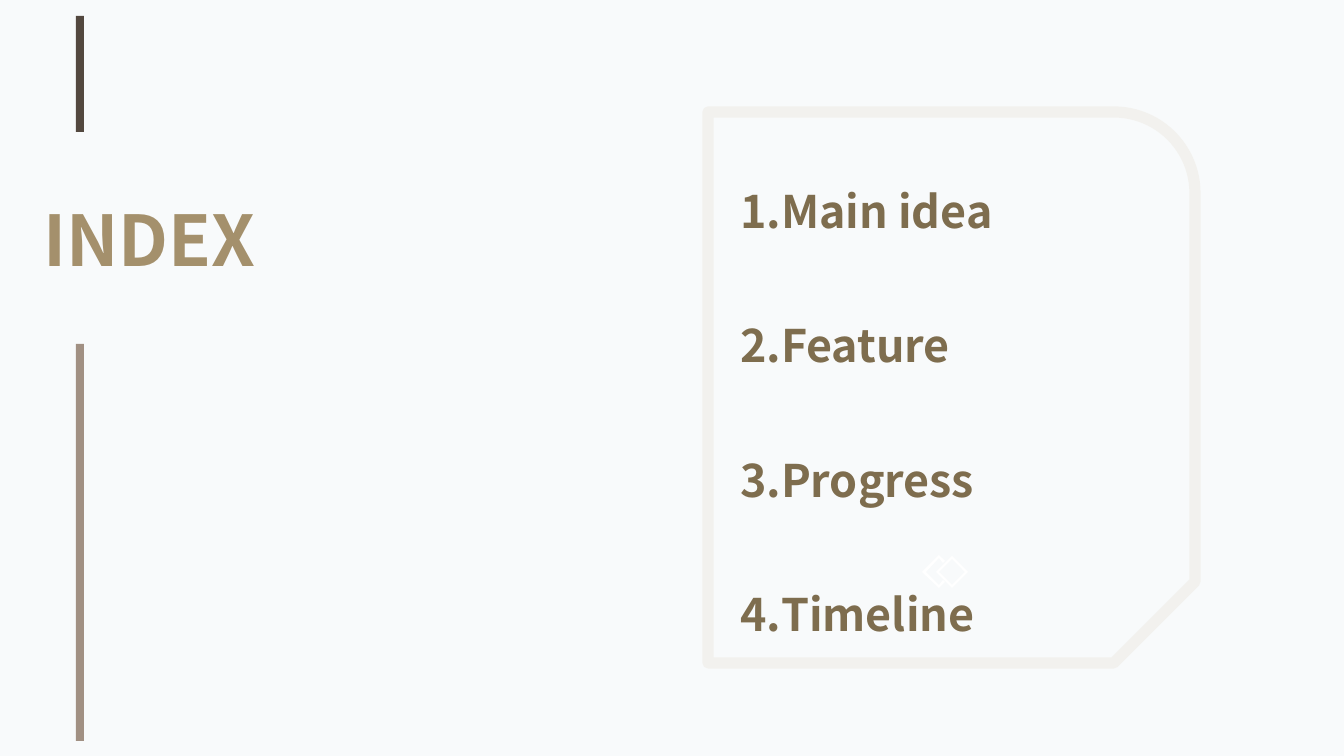
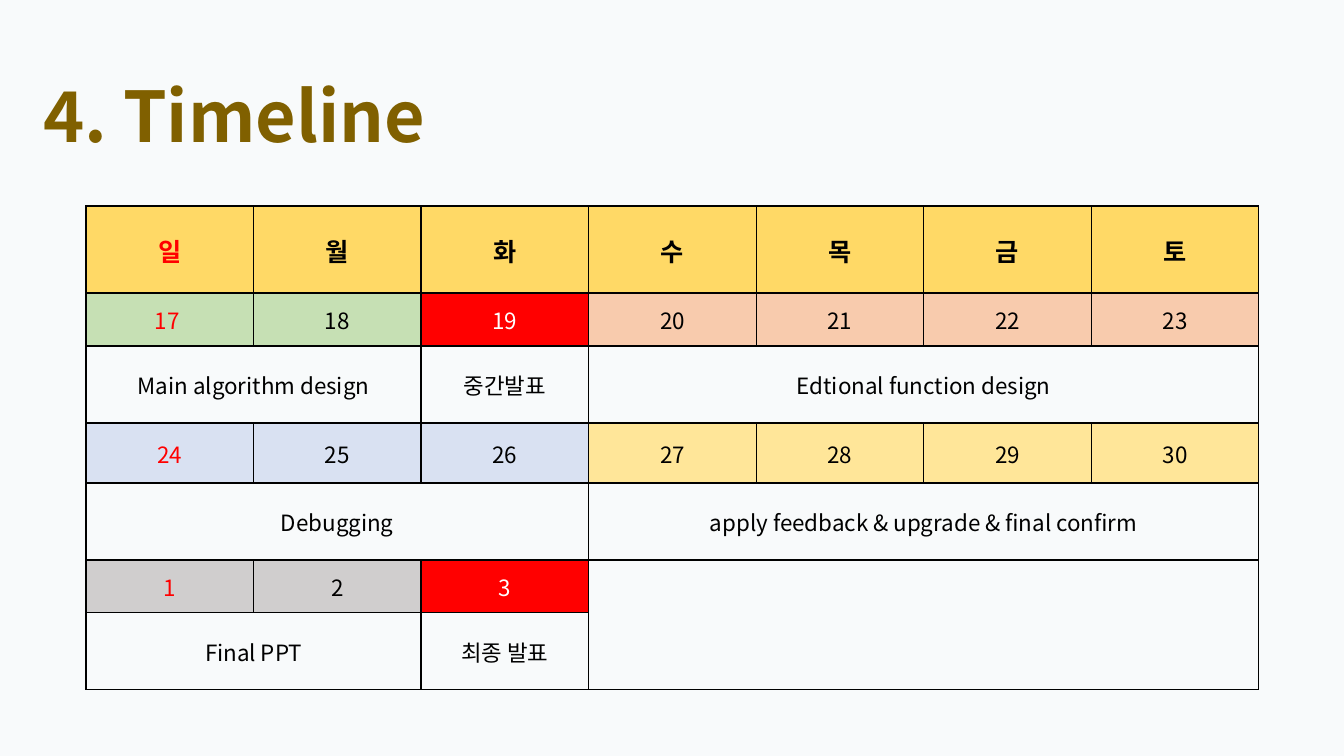
from pptx import Presentation
from pptx.dml.color import RGBColor
from pptx.enum.shapes import MSO_SHAPE
from pptx.enum.text import MSO_ANCHOR, MSO_AUTO_SIZE, PP_ALIGN
from pptx.oxml.ns import qn
from pptx.util import Pt
from lxml.etree import SubElement

EMU_PER_PX = 12192000 / 1344
FONT = "Noto Sans CJK KR"
COLORS = {
    "background": "F8FAFB", "index": "A4906C", "heading": "806000", "topic": "7E6D4E",
    "dark_bar": "53483F", "light_bar": "A19083", "frame": "EDE9E2",
    "white": "FFFFFF", "black": "000000", "red": "FF0000",
    "weekday": "FFD966", "green": "C6E0B4", "peach": "F8CBAD",
    "blue": "D9E1F2", "yellow": "FFE699", "grey": "D0CECE",
}
TITLE = {"size": Pt(50), "bold": True}
TOPIC = {"size": Pt(32), "bold": True}
WEEKDAY = {"size": Pt(18), "bold": True}
ENTRY = {"size": Pt(16), "bold": False}
FRAME_FORMAT = {"word_wrap": True, "auto_size": MSO_AUTO_SIZE.SHAPE_TO_FIT_TEXT}


def px(length):
    return round(length * EMU_PER_PX)


def rgb(color):
    return RGBColor.from_string(COLORS[color])


def set_values(target, values):
    for name, value in values.items():
        setattr(target, name, value)


class Deck:
    def __init__(self):
        self.prs = Presentation()
        set_values(self.prs, {"slide_width": px(1344), "slide_height": px(756)})
        self.paint(self.prs.slide_master.background, "background")
        self.slide = None

    def paint(self, target, color):
        target.fill.solid()
        target.fill.fore_color.rgb = rgb(color)

    def place(self, shape, left, top, width, height):
        set_values(shape, {"left": px(left), "top": px(top),
                           "width": px(width), "height": px(height)})

    def add_text(self, paragraph, text, color, format_values):
        run = paragraph.add_run()
        run.text = text
        run.font.color.rgb = rgb(color)
        set_values(run.font, {"name": FONT, **format_values})
        SubElement(run.font._element, qn("a:ea"), typeface=FONT)

    def add_slide(self, layout, title, color, top, width):
        self.slide = self.prs.slides.add_slide(self.prs.slide_layouts.get_by_name(layout))
        heading = self.slide.shapes.title
        self.place(heading, 33, top, width, 95)
        set_values(heading.text_frame, {**FRAME_FORMAT, "vertical_anchor": MSO_ANCHOR.TOP})
        paragraph = heading.text_frame.paragraphs[0]
        paragraph.alignment = PP_ALIGN.LEFT
        self.add_text(paragraph, title, color, TITLE)

    def numbered_list(self, topics, left, top, width, height):
        body = self.slide.placeholders[1]
        self.place(body, left, top, width, height)
        set_values(body.text_frame, FRAME_FORMAT)
        for number, topic in enumerate(topics):
            paragraph = body.text_frame.add_paragraph() if number else body.text_frame.paragraphs[0]
            properties = paragraph._p.get_or_add_pPr()
            for name, value in {"marL": px(38), "indent": px(-38)}.items():
                properties.set(name, str(value))
            SubElement(properties, qn("a:buFont"), typeface=FONT)
            SubElement(properties, qn("a:buAutoNum"), type="arabicPeriod")
            set_values(paragraph, {"line_spacing": 2.5, "space_before": Pt(0)})
            self.add_text(paragraph, topic, "topic", TOPIC)

    def bar(self, color, left, top, width, height):
        bar = self.slide.shapes.add_shape(
            MSO_SHAPE.RECTANGLE, px(left), px(top), px(width), px(height))
        bar.shadow.inherit = False
        self.paint(bar, color)
        bar.line.fill.background()

    def outline(self, color, *contours):
        builder = self.slide.shapes.build_freeform(*contours[0][0], scale=EMU_PER_PX)
        for contour in contours:
            if contour is not contours[0]:
                builder.move_to(*contour[0])
            builder.add_line_segments(contour[1:], close=True)
        ornament = builder.convert_to_shape()
        ornament.shadow.inherit = False
        self.paint(ornament, color)
        ornament.line.fill.background()

    def frame(self, left, top, width, height):
        frame = self.slide.shapes.add_shape(
            MSO_SHAPE.SNIP_ROUND_RECTANGLE, px(left), px(top), px(width), px(height))
        frame.rotation = 90
        frame.shadow.inherit = False
        frame.fill.background()
        frame.line.color.rgb = rgb("frame")
        frame.line.width = Pt(8)
        tint = next(frame.line._ln.iter(qn("a:srgbClr")))
        SubElement(tint, qn("a:alpha"), val="50000")

    def border(self, cell):
        properties = cell._tc.get_or_add_tcPr()
        for side in ("a:lnL", "a:lnR", "a:lnT", "a:lnB"):
            line = SubElement(properties, qn(side), w=str(Pt(1)))
            fill = SubElement(line, qn("a:solidFill"))
            SubElement(fill, qn("a:srgbClr"), val=COLORS["black"])

    def calendar(self, weeks, heights, left, top, width):
        columns = 7
        table = self.slide.shapes.add_table(
            len(weeks), columns, px(left), px(top), px(width), px(sum(heights))).table
        set_values(table, {"first_row": False, "horz_banding": False})
        for column in table.columns:
            column.width = px(width / columns)
        for row, height in zip(table.rows, heights):
            row.height = px(height)
        for cell in table.iter_cells():
            self.border(cell)
            cell.fill.background()
            set_values(cell, {"margin_left": px(1), "margin_right": px(1), "margin_top": px(1),
                              "margin_bottom": 0, "vertical_anchor": MSO_ANCHOR.MIDDLE})
        for row, entries in enumerate(weeks):
            column = 0
            for text, fill, rows, span in entries:
                cell = table.cell(row, column)
                if rows * span > 1:
                    cell.merge(table.cell(row + rows - 1, column + span - 1))
                if fill:
                    self.paint(cell, fill)
                if text:
                    color = "white" if fill == "red" else "red" if fill and column == 0 else "black"
                    paragraph = cell.text_frame.paragraphs[0]
                    paragraph.alignment = PP_ALIGN.CENTER
                    self.add_text(paragraph, text, color, ENTRY if row else WEEKDAY)
                column += span


def days(labels, fill):
    return [(label, fill, 1, 1) for label in labels]


def task(text, span=1):
    return [(text, None, 1, span)]


def main():
    deck = Deck()

    deck.add_slide("Title and Content", "INDEX", "index", 191, 264)
    deck.bar("dark_bar", 76, 16, 8, 116)
    deck.bar("light_bar", 76, 344, 8, 397)
    deck.outline("white", [(939, 585), (926, 572), (939, 558), (943, 563), (945, 561),
                           (939, 555), (922, 572), (939, 588), (945, 582), (943, 580)])
    x, y = 952, 572
    deck.outline("white",
                 [(x, y - 16), (x - 16, y), (x, y + 16), (x + 16, y)],
                 [(x - 13, y), (x, y - 13), (x + 13, y), (x, y + 13)])
    deck.frame(676, 144, 551, 487)
    deck.numbered_list(["Main idea", "Feature", "Progress", "Timeline"], 730, 98, 479, 530)

    deck.add_slide("Title Only", "4. Timeline", "heading", 67, 503)
    weeks = [
        days("일월화수목금토", "weekday"),
        days(["17 ", "18"], "green") + days(["19"], "red") + days(["20", "21", "22", "23"], "peach"),
        task("Main algorithm design", 2) + task("중간발표") + task("Edtional function design", 4),
        days(["24", "25", "26"], "blue") + days(["27", "28", "29", "30"], "yellow"),
        task("Debugging", 3) + task("apply feedback & upgrade & final confirm", 4),
        days(["1", "2"], "grey") + days(["3"], "red") + [("", None, 2, 4)],
        task("Final PPT", 2) + task("최종 발표"),
    ]
    deck.calendar(weeks, [87, 53, 77, 60, 77, 53, 77], 86, 206, 1173)

    deck.prs.save("out.pptx")


if __name__ == "__main__":
    main()
